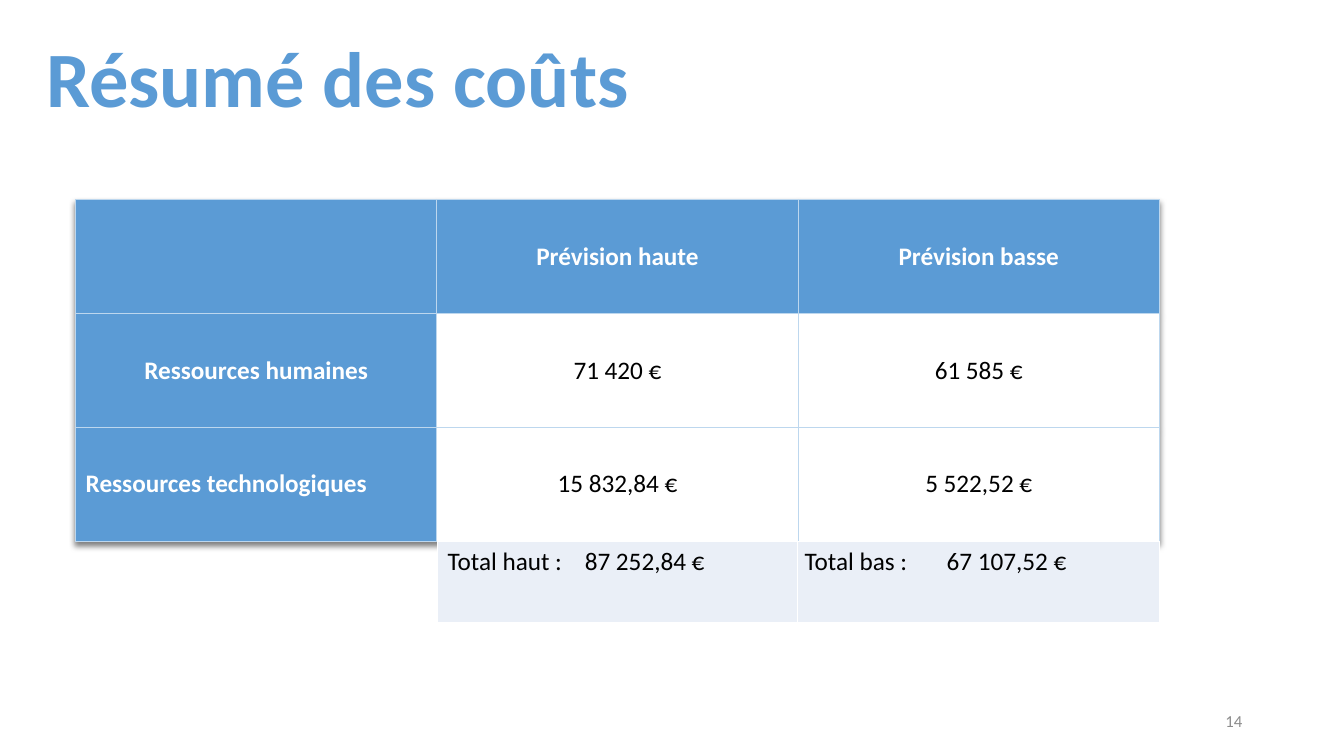
from dataclasses import dataclass

from lxml.etree import SubElement
from pptx import Presentation
from pptx.dml.color import RGBColor
from pptx.enum.text import MSO_ANCHOR, PP_ALIGN
from pptx.oxml import parse_xml
from pptx.oxml.ns import qn
from pptx.slide import Slide
from pptx.table import Table, _Cell
from pptx.text.text import _Paragraph
from pptx.util import Inches, Pt

NS = 'xmlns:a="http://schemas.openxmlformats.org/drawingml/2006/main"'
BLUE, WHITE, BLACK, GREY = "5B9BD5", "FFFFFF", "000000", "8C8C8C"
PALE, EDGE = "EAEFF7", "BDD7EE"
LEFT, MID, RIGHT = PP_ALIGN.LEFT, PP_ALIGN.CENTER, PP_ALIGN.RIGHT


@dataclass
class Label:
    text: str
    box: tuple[float, float, float, float]
    size: int
    color: str
    bold: bool = False
    align: PP_ALIGN = LEFT


@dataclass
class Total:
    text: str
    left: float
    width: float
    tab: float


LABELS = [
    Label("Résumé des coûts", (0.36, 0.03, 12.41, 1.45), 56, BLUE, bold=True),
    Label("14", (9.42, 6.95, 3, 0.4), 12, GREY, align=RIGHT),
]
COSTS = [
    ["", "Prévision haute", "Prévision basse"],
    ["Ressources humaines", "71 420 €", "61 585 €"],
    ["Ressources technologiques", "15 832,84 €", "5 522,52 €"],
]
TOTALS = [
    Total("Total bas :\t67 107,52 €", 7.88, 3.62, 1.41),
    Total("Total haut :\t87 252,84 €", 4.34, 3.57, 1.36),
]


def rgb(code: str) -> RGBColor:
    return RGBColor.from_string(code)


def write(para: _Paragraph, text: str, size: int, color: str,
          bold: bool = False, align: PP_ALIGN = LEFT) -> None:
    para.text = text
    para.alignment = align
    font = para.font
    font.name, font.size, font.bold = "Calibri", Pt(size), bold
    font.color.rgb = rgb(color)


def add_label(slide: Slide, label: Label) -> None:
    box = slide.shapes.add_textbox(*map(Inches, label.box))
    frame = box.text_frame
    frame.word_wrap = True
    frame.vertical_anchor = MSO_ANCHOR.MIDDLE
    write(frame.paragraphs[0], label.text, label.size, label.color,
          label.bold, label.align)


def paint(cell: _Cell, fill: str, edge: str) -> None:
    cell.fill.solid()
    cell.fill.fore_color.rgb = rgb(fill)
    # Borders come before the fill
    for i, side in enumerate("LRTB"):
        cell._tc.tcPr.insert(i, parse_xml(
            f'<a:ln{side} {NS} w="12700"><a:solidFill><a:srgbClr val="{edge}"/>'
            f'</a:solidFill></a:ln{side}>'))


def add_grid(slide: Slide, rows: int, cols: int, left: float, top: float,
             width: float, height: float) -> Table:
    box = map(Inches, (left, top, width, height))
    return slide.shapes.add_table(rows, cols, *box).table


def add_costs(slide: Slide) -> None:
    table = add_grid(slide, 3, 3, 0.75, 1.98, 10.75, 3.39)
    table._tbl.tblPr.insert(0, parse_xml(
        f'<a:effectLst {NS}><a:outerShdw blurRad="50800" dist="38100" '
        'dir="5400000" algn="t" rotWithShape="0"><a:srgbClr val="000000">'
        '<a:alpha val="50000"/></a:srgbClr></a:outerShdw></a:effectLst>'))
    for r, row in enumerate(COSTS):
        for c, text in enumerate(row):
            cell = table.cell(r, c)
            head = r == 0 or c == 0
            paint(cell, BLUE if head else WHITE, EDGE)
            cell.vertical_anchor = MSO_ANCHOR.MIDDLE
            write(cell.text_frame.paragraphs[0], text, 18,
                  WHITE if head else BLACK, head,
                  LEFT if (r, c) == (2, 0) else MID)


def add_total(slide: Slide, total: Total) -> None:
    cell = add_grid(slide, 1, 1, total.left, 5.37, total.width, 0.81).cell(0, 0)
    paint(cell, PALE, WHITE)
    para = cell.text_frame.paragraphs[0]
    write(para, total.text, 18, BLACK)
    # Tab stop that lines up the amount
    props = para._p.get_or_add_pPr()
    stops = SubElement(props, qn("a:tabLst"))
    SubElement(stops, qn("a:tab"), pos=str(Inches(total.tab)), algn="l")
    props.insert(0, stops)


def main() -> None:
    deck = Presentation()
    deck.slide_width, deck.slide_height = Inches(13.33), Inches(7.5)
    slide = deck.slides.add_slide(deck.slide_layouts[6])
    # Title and page number
    for label in LABELS:
        add_label(slide, label)
    # Cost table, then its totals
    add_costs(slide)
    for total in TOTALS:
        add_total(slide, total)
    deck.save("out.pptx")


if __name__ == "__main__":
    main()
